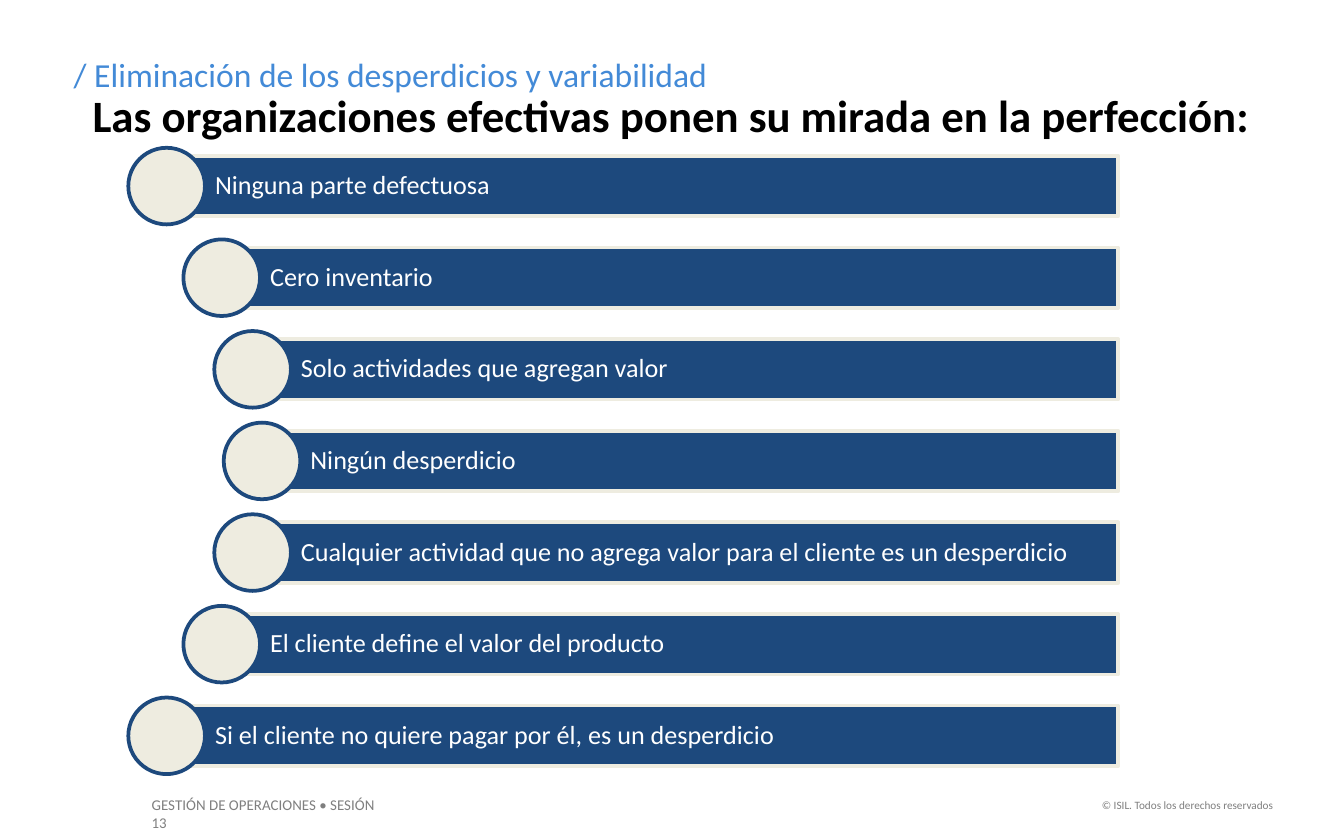
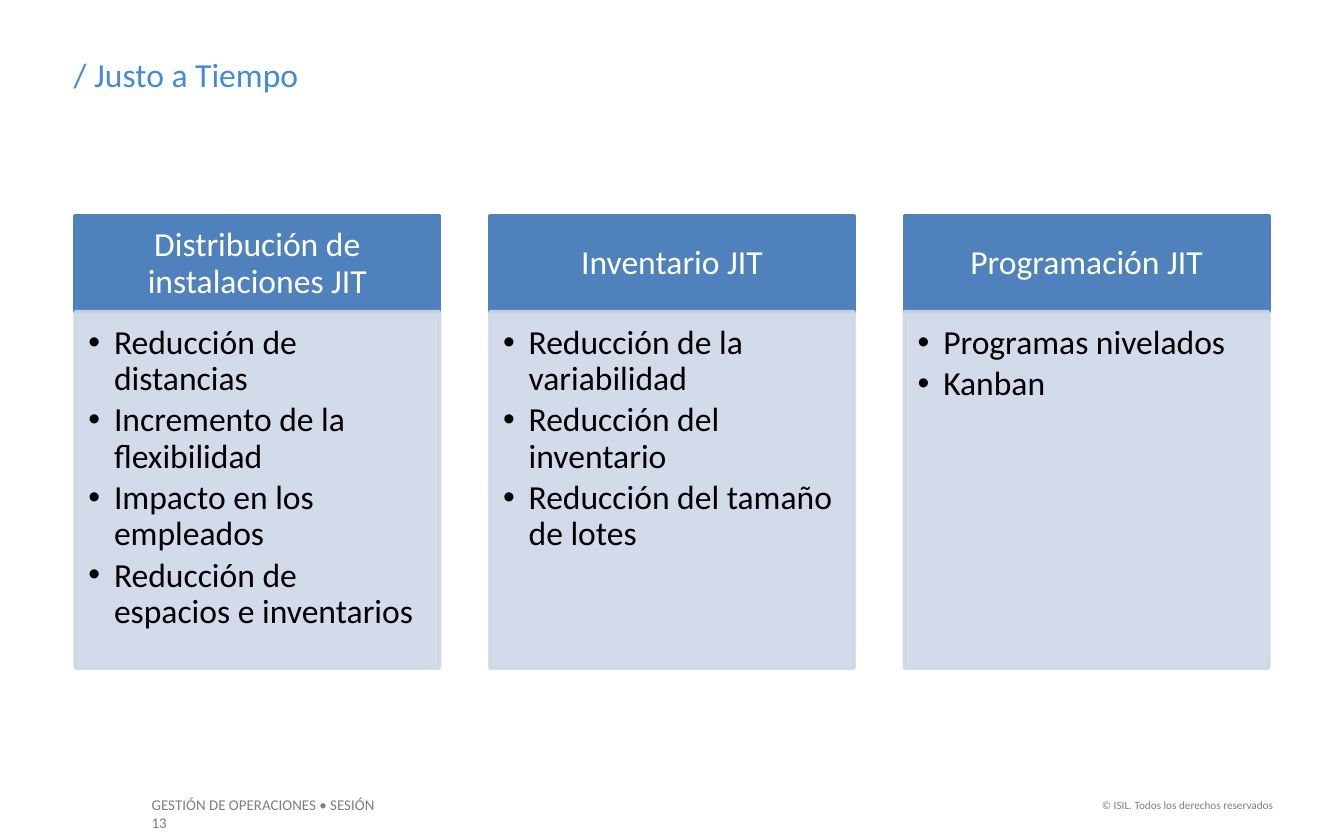
from dataclasses import dataclass

from lxml import etree
from pptx import Presentation
from pptx.dml.color import RGBColor
from pptx.enum.shapes import MSO_SHAPE
from pptx.enum.text import MSO_ANCHOR, MSO_AUTO_SIZE, PP_ALIGN
from pptx.oxml.ns import qn
from pptx.shapes.autoshape import Shape
from pptx.slide import Slide
from pptx.util import Inches, Pt

RECTANGLE, OVAL = MSO_SHAPE.RECTANGLE, MSO_SHAPE.OVAL
TOP, MIDDLE = MSO_ANCHOR.TOP, MSO_ANCHOR.MIDDLE
LEFT, CENTER = PP_ALIGN.LEFT, PP_ALIGN.CENTER
RIGHT, JUSTIFY = PP_ALIGN.RIGHT, PP_ALIGN.JUSTIFY
FIT_SHAPE = MSO_AUTO_SIZE.SHAPE_TO_FIT_TEXT


@dataclass(frozen=True)
class Theme:
    font: str = "Calibri"
    title_color: str = "438AD7"
    footer_color: str = "7F7F7F"
    black: str = "000000"
    white: str = "FFFFFF"
    navy: str = "1D497D"
    cream: str = "EEECE0"
    header: str = "4F81BD"
    panel: str = "CFD7E7"
    title_size: float = 18
    headline_size: float = 24
    bar_size: float = 14
    column_size: float = 18
    footer_size: float = 8
    rights_size: float = 6
    outline: float = 2
    tight: float = 0.9
    bullet_gap: float = 2.7


@dataclass(frozen=True)
class Area:
    left: float
    top: float
    width: float
    height: float

    def lengths(self) -> tuple:
        return tuple(Inches(n) for n in (self.left, self.top, self.width, self.height))


@dataclass(frozen=True)
class Principle:
    text: str
    left: float


@dataclass(frozen=True)
class Column:
    heading: str
    points: tuple[str, ...]


THEME = Theme()
BOX_INSETS = (0.1, 0.05, 0.1, 0.05)
BAR_INSETS = (0.36, 0.04, 0.04, 0.04)
HEADER_INSETS = (0.14, 0.08, 0.14, 0.08)
PANEL_INSETS = (0.1, 0.1, 0.14, 0.16)

BAR_TOP, LAST_BAR_TOP, BAR_RIGHT, BAR_HEIGHT = 1.16, 5.25, 8.32, 0.45
CIRCLE_SIZE = 0.57
COLUMN_LEFT, COLUMN_PITCH, COLUMN_WIDTH = 0.56, 3.085, 2.71
HEADER_TOP, HEADER_HEIGHT, PANEL_HEIGHT = 1.61, 0.71, 2.65
BULLET_INDENT = 0.19

PRINCIPLES = (
    Principle("Ninguna parte defectuosa", 1.24),
    Principle("Cero inventario", 1.65),
    Principle("Solo actividades que agregan valor", 1.88),
    Principle("Ningún desperdicio", 1.95),
    Principle("Cualquier actividad que no agrega valor para el cliente es un desperdicio", 1.88),
    Principle("El cliente define el valor del producto", 1.65),
    Principle("Si el cliente no quiere pagar por él, es un desperdicio", 1.24),
)

COLUMNS = (
    Column("Distribución de instalaciones JIT", (
        "Reducción de distancias",
        "Incremento de la flexibilidad",
        "Impacto en los empleados",
        "Reducción de espacios e inventarios",
    )),
    Column("Inventario JIT", (
        "Reducción de la variabilidad",
        "Reducción del inventario",
        "Reducción del tamaño de lotes",
    )),
    Column("Programación JIT", ("Programas nivelados", "Kanban")),
)


def add_bullet(para) -> None:
    para.level = 1
    properties = para._p.get_or_add_pPr()
    properties.set("marL", str(Inches(BULLET_INDENT)))
    properties.set("indent", str(-Inches(BULLET_INDENT)))
    color = etree.SubElement(properties, qn("a:buClr"))
    etree.SubElement(color, qn("a:srgbClr"), val=THEME.black)
    etree.SubElement(properties, qn("a:buFont"), typeface="Arial")
    etree.SubElement(properties, qn("a:buChar"), char="•")


def write_text(box: Shape, *lines: str, size: float, color: str, bold: bool = False,
               align: PP_ALIGN = LEFT, anchor: MSO_ANCHOR = TOP,
               insets: tuple = BOX_INSETS, spacing: float | None = None,
               gap: float = 0, bullets: bool = False) -> None:
    frame = box.text_frame
    frame.word_wrap = True
    frame.vertical_anchor = anchor
    (frame.margin_left, frame.margin_top,
     frame.margin_right, frame.margin_bottom) = map(Inches, insets)
    for index, line in enumerate(lines):
        para = frame.add_paragraph() if index else frame.paragraphs[0]
        if bullets:
            add_bullet(para)
        para.alignment = align
        if spacing:
            para.line_spacing = spacing
        if index and gap:
            para.space_before = Pt(gap)
        span = para.add_run()
        span.text = line
        span.font.name = THEME.font
        span.font.size = Pt(size)
        span.font.bold = bold
        span.font.color.rgb = RGBColor.from_string(color)


def add_label(page: Slide, area: Area, text: str, size: float, color: str,
              align: PP_ALIGN = LEFT, bold: bool = False) -> None:
    box = page.shapes.add_textbox(*area.lengths())
    write_text(box, text, size=size, color=color, align=align, bold=bold)
    box.text_frame.auto_size = FIT_SHAPE


def add_figure(page: Slide, kind: MSO_SHAPE, area: Area, fill: str, line: str,
               opacity: int = 100) -> Shape:
    figure = page.shapes.add_shape(kind, *area.lengths())
    figure.shadow.inherit = False
    figure.fill.solid()
    figure.fill.fore_color.rgb = RGBColor.from_string(fill)
    figure.line.color.rgb = RGBColor.from_string(line)
    figure.line.width = Pt(THEME.outline)
    if opacity < 100:
        for color in figure._element.spPr.iter(qn("a:srgbClr")):
            etree.SubElement(color, qn("a:alpha"), val=str(opacity * 1000))
    return figure


def add_page(deck, title: str) -> Slide:
    page = deck.slides.add_slide(deck.slide_layouts[6])
    add_label(page, Area(1.03, 5.87, 1.99, 0.24), "GESTIÓN DE OPERACIONES • SESIÓN 13",
              THEME.footer_size, THEME.footer_color)
    add_label(page, Area(8.03, 5.89, 1.54, 0.2), "© ISIL. Todos los derechos reservados",
              THEME.rights_size, THEME.footer_color, align=RIGHT)
    add_label(page, Area(0.45, 0.35, 7.88, 0.4), f"/ {title}",
              THEME.title_size, THEME.title_color)
    return page


def add_principle(page: Slide, principle: Principle, top: float) -> None:
    area = Area(principle.left, top, BAR_RIGHT - principle.left, BAR_HEIGHT)
    bar = add_figure(page, RECTANGLE, area, THEME.navy, THEME.cream)
    write_text(bar, principle.text, size=THEME.bar_size, color=THEME.white,
               anchor=MIDDLE, insets=BAR_INSETS, spacing=THEME.tight)
    circle = Area(principle.left - CIRCLE_SIZE / 2,
                  top + (BAR_HEIGHT - CIRCLE_SIZE) / 2, CIRCLE_SIZE, CIRCLE_SIZE)
    add_figure(page, OVAL, circle, THEME.cream, THEME.navy)


def add_column(page: Slide, column: Column, left: float) -> None:
    header = add_figure(page, RECTANGLE, Area(left, HEADER_TOP, COLUMN_WIDTH, HEADER_HEIGHT),
                        THEME.header, THEME.header)
    write_text(header, column.heading, size=THEME.column_size, color=THEME.white,
               align=CENTER, anchor=MIDDLE, insets=HEADER_INSETS, spacing=THEME.tight)
    body = Area(left, HEADER_TOP + HEADER_HEIGHT, COLUMN_WIDTH, PANEL_HEIGHT)
    panel = add_figure(page, RECTANGLE, body, THEME.panel, THEME.panel, opacity=90)
    write_text(panel, *column.points, size=THEME.column_size, color=THEME.black,
               insets=PANEL_INSETS, spacing=THEME.tight, gap=THEME.bullet_gap, bullets=True)


def build_waste_page(deck) -> None:
    page = add_page(deck, "Eliminación de los desperdicios y variabilidad")
    add_label(page, Area(0.59, 0.6, 8.82, 0.5),
              "Las organizaciones efectivas ponen su mirada en la perfección:",
              THEME.headline_size, THEME.black, align=JUSTIFY, bold=True)
    pitch = (LAST_BAR_TOP - BAR_TOP) / (len(PRINCIPLES) - 1)
    for index, principle in enumerate(PRINCIPLES):
        add_principle(page, principle, BAR_TOP + index * pitch)


def build_just_in_time_page(deck) -> None:
    page = add_page(deck, "Justo a Tiempo")
    for index, column in enumerate(COLUMNS):
        add_column(page, column, COLUMN_LEFT + index * COLUMN_PITCH)


def main() -> None:
    deck = Presentation()
    deck.slide_width, deck.slide_height = Inches(10), Inches(6.25)
    build_waste_page(deck)
    build_just_in_time_page(deck)
    deck.save("out.pptx")


if __name__ == "__main__":
    main()
